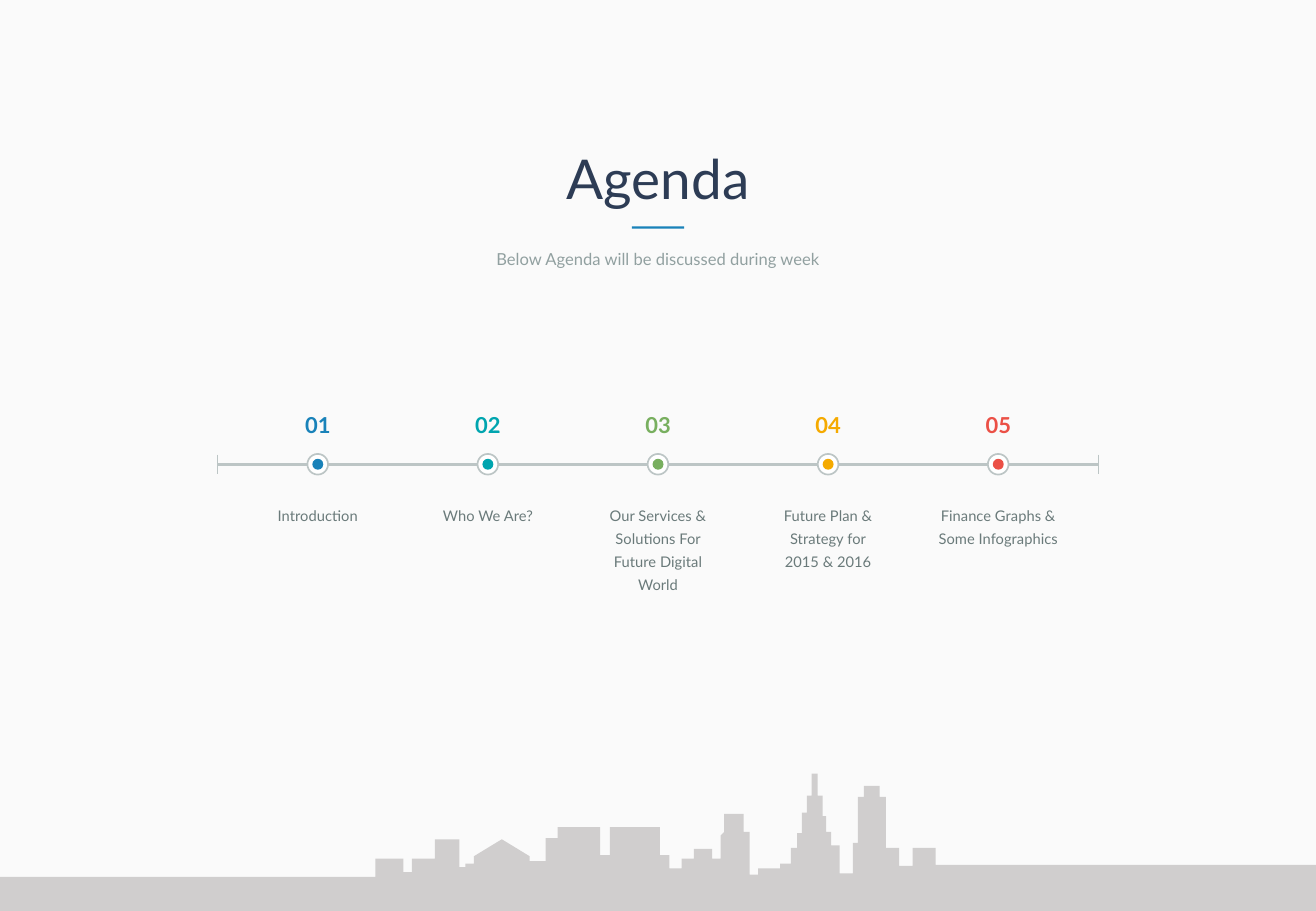
from lxml.etree import SubElement
from pptx import Presentation
from pptx.dml.color import RGBColor
from pptx.enum.shapes import MSO_CONNECTOR, MSO_SHAPE
from pptx.enum.text import MSO_ANCHOR, MSO_AUTO_SIZE, PP_ALIGN
from pptx.oxml.ns import qn
from pptx.util import Inches, Pt

W, H = 10.83, 7.5
FONT = "Lato"
PAPER = RGBColor(0xFA, 0xFA, 0xFA)
WHITE = RGBColor(0xFF, 0xFF, 0xFF)
NAVY = RGBColor(0x2D, 0x3C, 0x55)
MIST = RGBColor(0x91, 0xA0, 0xA0)
SLATE = RGBColor(0x6A, 0x7A, 0x7A)
RAIL = RGBColor(0xBC, 0xC5, 0xC5)
CITY = RGBColor(0xD0, 0xCE, 0xCE)
BLUE = RGBColor(0x19, 0x82, 0xB9)
TEAL = RGBColor(0x00, 0xA5, 0xAF)
GREEN = RGBColor(0x78, 0xAF, 0x5F)
AMBER = RGBColor(0xF5, 0xAA, 0x00)
RED = RGBColor(0xEB, 0x50, 0x46)

AGENDA = [
    (BLUE, ["Introduction"]),
    (TEAL, ["Who We Are?"]),
    (GREEN, ["Our Services & Solutions For Future Digital World"]),
    (AMBER, ["Future Plan & Strategy for", "2015 & 2016"]),
    (RED, ["Finance Graphs & Some Infographics"]),
]

ROOFS = [
    (0, 28), (309, 43), (332, 32), (339, 43), (358, 59), (378, 36), (383, 39),
    (390, 45), (413, 59), (436, 45), (436, 41), (449, 60), (459, 69), (494, 46),
    (502, 69), (543, 46), (551, 35), (561, 43), (571, 51), (586, 43), (593, 62),
    (596, 65), (596, 80), (612, 65), (617, 30), (624, 35), (642, 39), (651, 52),
    (656, 64), (660, 81), (664, 95), (668, 113), (673, 95), (677, 78), (680, 65),
    (684, 54), (691, 31), (702, 56), (706, 94), (711, 103), (724, 94), (729, 52),
    (740, 37), (751, 52), (770, 38),
]
SLOPES = {(413, 59), (436, 45), (596, 65)}


def write(sp, box, lines, size, color, bold=False, spacing=1.0):
    """Place a text shape in its box and fill it with centred lines."""
    sp.left, sp.top, sp.width, sp.height = (Inches(v) for v in box)
    tf = sp.text_frame
    tf.word_wrap = True
    tf.auto_size = MSO_AUTO_SIZE.NONE
    tf.vertical_anchor = MSO_ANCHOR.TOP
    tf.margin_left = tf.margin_right = tf.margin_top = tf.margin_bottom = 0
    for i, line in enumerate(lines):
        p = tf.add_paragraph() if i else tf.paragraphs[0]
        p.alignment = PP_ALIGN.CENTER
        p.line_spacing = spacing
        p.space_before = Pt(0)
        r = p.add_run()
        r.text = line
        r.font.name = FONT
        r.font.size = Pt(size)
        r.font.bold = bold
        r.font.color.rgb = color


def add_text(s, box, *args, **kwargs):
    """Add a text box and write in it."""
    write(s.shapes.add_textbox(0, 0, 0, 0), box, *args, **kwargs)


def paint(sp, fill, line=None):
    """Give a shape a flat fill and an optional thin outline."""
    sp.shadow.inherit = False
    sp.fill.solid()
    sp.fill.fore_color.rgb = fill
    if line is None:
        sp.line.fill.background()
    else:
        sp.line.color.rgb = line
        sp.line.width = Pt(1)


def add_line(s, x1, y1, x2, y2, width):
    """Draw one straight part of the timeline rail."""
    c = s.shapes.add_connector(MSO_CONNECTOR.STRAIGHT, *(Inches(v) for v in (x1, y1, x2, y2)))
    c.line.color.rgb = RAIL
    c.line.width = Pt(width)
    SubElement(c._element.spPr, qn("a:effectLst"))


def add_dot(s, x, y, size, fill, line=None):
    """Draw a circle centred on a point."""
    sp = s.shapes.add_shape(MSO_SHAPE.OVAL, Inches(x - size / 2), Inches(y - size / 2),
                            Inches(size), Inches(size))
    paint(sp, fill, line)


def add_skyline(s, left, bottom, width):
    """Draw the city silhouette standing on the bottom edge of its box."""
    points, height = [], 0
    for x, roof in ROOFS:
        if (x, roof) not in SLOPES:
            points.append((x, -height))
        points.append((x, -roof))
        height = roof
    span = W * 100
    points += [(span, -height), (span, 0)]
    fb = s.shapes.build_freeform(0, 0, scale=Inches(width) / span)
    fb.add_line_segments(points[1:], close=True)
    paint(fb.convert_to_shape(Inches(left), Inches(bottom)), CITY)


def add_heading(s, left, top, width, height):
    """Place the title, its accent bar and the subtitle."""
    write(s.shapes.title, (left, top, width, height * 0.54), ["Agenda"], 32.5, NAVY)
    bar = 0.43
    sp = s.shapes.add_shape(MSO_SHAPE.RECTANGLE, Inches(left + (width - bar) / 2),
                            Inches(top + height * 0.66), Inches(bar), Inches(0.02))
    paint(sp, BLUE)
    write(s.placeholders[1], (left, top + height * 0.84, width, height * 0.16),
          ["Below Agenda will be discussed during week"], 9.8, MIST)


def add_timeline(s, left, top, width, height):
    """Place the rail and one numbered stop per agenda column."""
    col, label_w, number_w = 1.4, 1.08, 0.25
    rail_y = top + height * 0.33
    right = left + width
    add_line(s, left, rail_y, right, rail_y, 1.5)
    for x in (left, right):
        add_line(s, x, rail_y - 0.08, x, rail_y + 0.08, 1)
    first = left + (width - col * (len(AGENDA) - 1)) / 2
    for i, (color, lines) in enumerate(AGENDA):
        x = first + i * col
        add_text(s, (x - number_w / 2, top, number_w, 0.22), [f"{i + 1:02}"], 13, color, bold=True)
        add_dot(s, x, rail_y, 0.17, WHITE, RAIL)
        add_dot(s, x, rail_y, 0.09, color)
        add_text(s, (x - label_w / 2, top + 0.74, label_w, height - 0.74),
                 lines, 8.7, SLATE, spacing=1.3)


def main():
    """Build the agenda slide."""
    prs = Presentation()
    prs.slide_width, prs.slide_height = Inches(W), Inches(H)
    s = prs.slides.add_slide(prs.slide_layouts[0])
    s.background.fill.solid()
    s.background.fill.fore_color.rgb = PAPER
    add_skyline(s, 0, H, W)
    add_heading(s, W * 0.075, 1.19, W * 0.85, 1.02)
    add_timeline(s, (W - 7.25) / 2, 3.39, 7.25, 1.31)
    prs.save("out.pptx")


if __name__ == "__main__":
    main()
